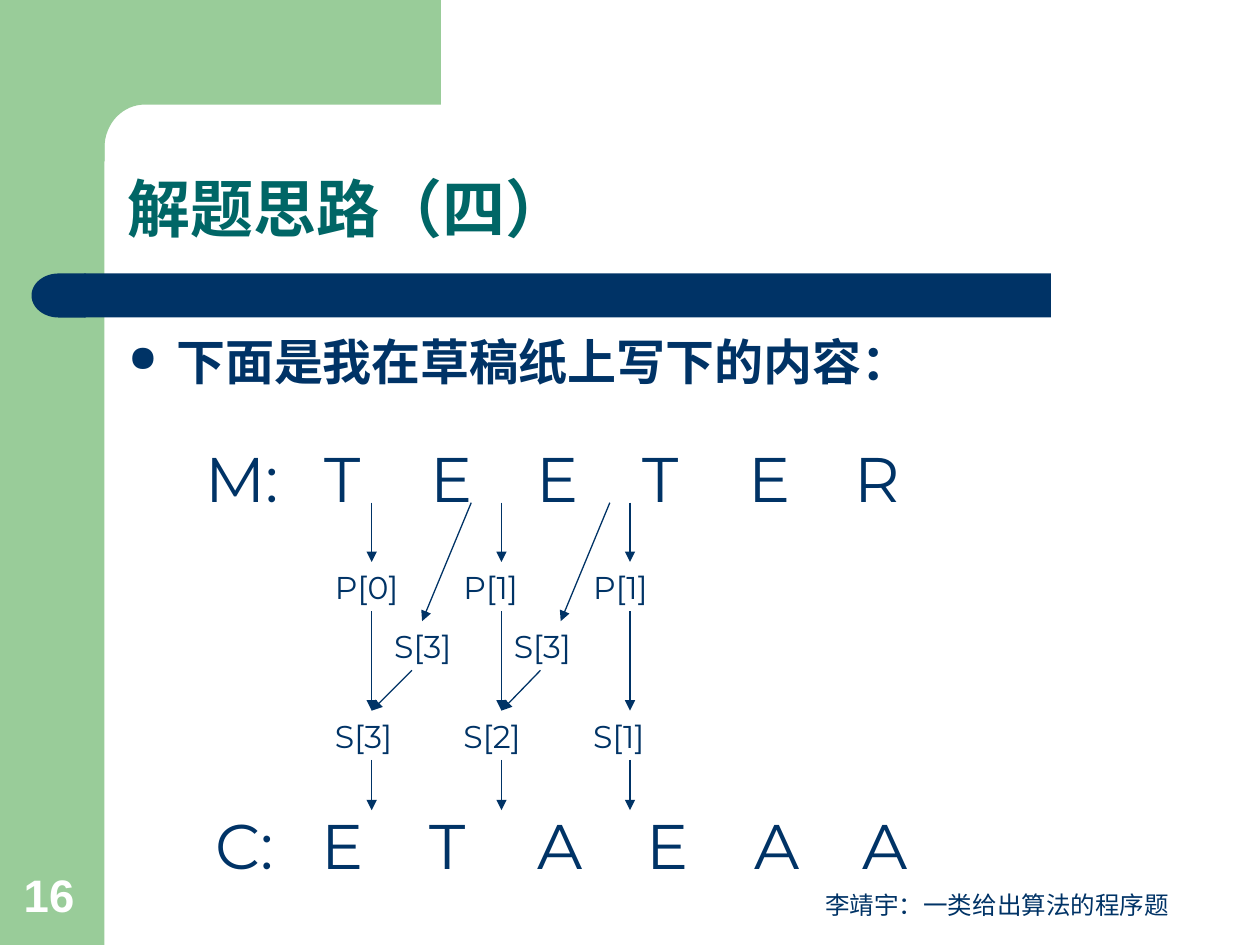
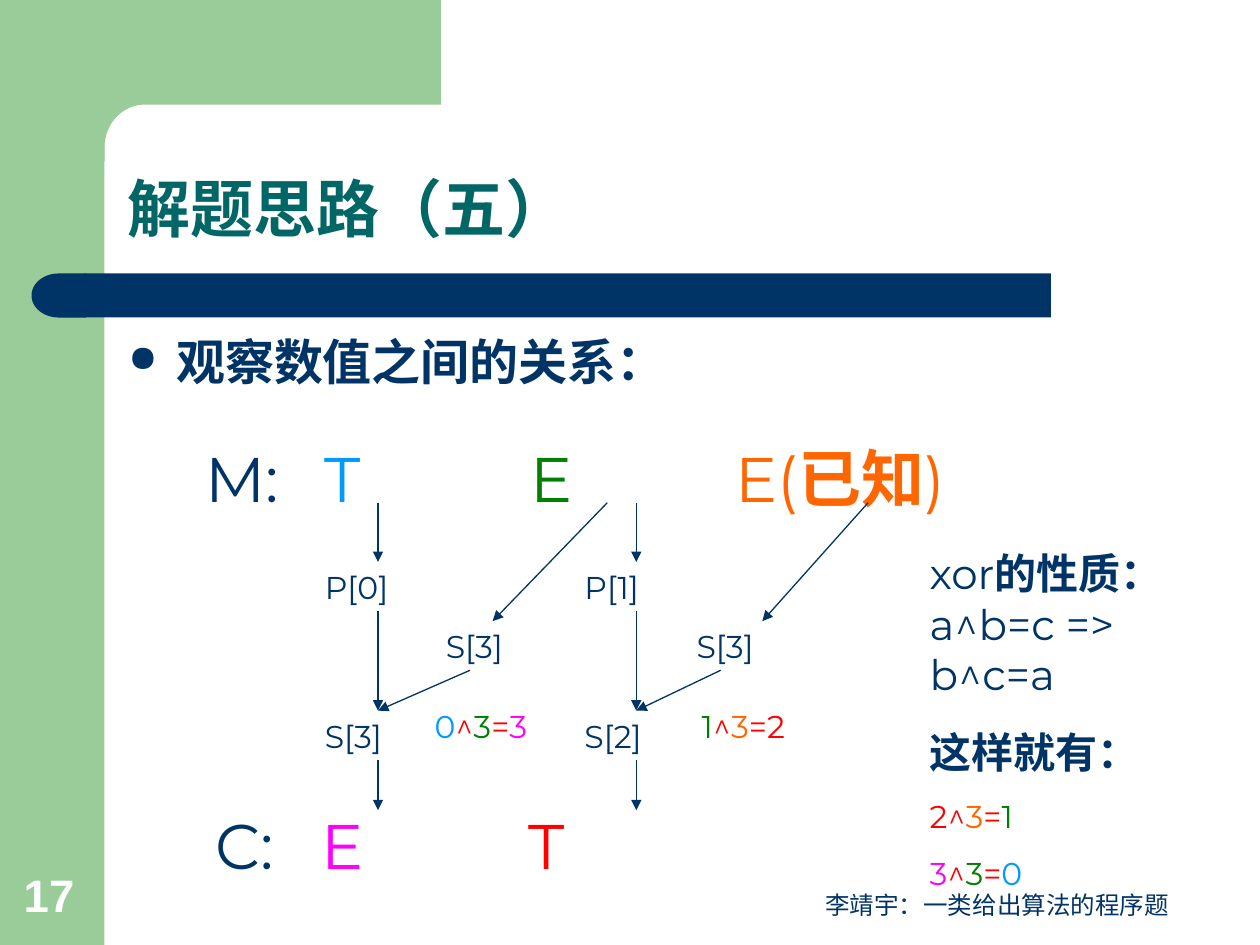
from dataclasses import dataclass
from math import cos, pi, sin

from lxml.etree import SubElement
from pptx import Presentation
from pptx.dml.color import RGBColor as RGB
from pptx.enum.shapes import MSO_CONNECTOR as LINE, MSO_SHAPE as SHAPE
from pptx.enum.text import MSO_ANCHOR as ANCHOR, PP_ALIGN as ALIGN
from pptx.oxml.ns import qn
from pptx.util import Inches, Pt


@dataclass(frozen=True)
class Theme:
    """Colours, fonts and type sizes of the deck."""
    navy: str = "003366"
    teal: str = "006666"
    leaf: str = "99CC99"
    white: str = "FFFFFF"
    sky: str = "0099FF"
    green: str = "008000"
    orange: str = "FF6600"
    pink: str = "FF00FF"
    red: str = "FF0000"
    sans: str = "Arial"
    math: str = "Montserrat"
    big: int = 36
    body: int = 28
    page: int = 26
    note: int = 24
    label: int = 18
    foot: int = 14


T = Theme()


def text(slide, box, paras, size=T.label, font=T.math, color=T.navy, bold=False,
         align=ALIGN.LEFT, anchor=ANCHOR.TOP, spacing=None, before=0,
         bullet=False, tabs=()):
    """Add a text box; each paragraph is a list of (text, format) runs."""
    frame = slide.shapes.add_textbox(*[Inches(v) for v in box]).text_frame
    frame.word_wrap = True
    frame.vertical_anchor = anchor
    if isinstance(paras, str):
        paras = [[(paras, {})]]
    for i, runs in enumerate(paras):
        para = frame.paragraphs[0] if i == 0 else frame.add_paragraph()
        para.alignment = align
        para.line_spacing = spacing
        if i:
            para.space_before = Pt(before)
        props = para._p.get_or_add_pPr()
        if bullet:
            props.set("marL", str(Inches(0.38)))
            props.set("indent", str(Inches(-0.38)))
            SubElement(props, qn("a:buSzPct"), val="75000")
            SubElement(props, qn("a:buChar"), char="●")
        if tabs:
            stops = SubElement(props, qn("a:tabLst"))
            for stop in tabs:
                SubElement(stops, qn("a:tab"), pos=str(Inches(stop)), algn="l")
        for words, form in runs:
            run = para.add_run()
            run.text = words
            run.font.name = font
            run.font.size = Pt(form.get("size", size))
            run.font.bold = form.get("bold", bold)
            run.font.color.rgb = RGB.from_string(form.get("color", color))


def arrow(slide, x1, y1, x2, y2):
    """Draw a thin navy arrow from the first point to the second."""
    ends = [Inches(v) for v in (x1, y1, x2, y2)]
    line = slide.shapes.add_connector(LINE.STRAIGHT, *ends)
    line.line.color.rgb = RGB.from_string(T.navy)
    line.line.width = Pt(0.74)
    SubElement(line.line._get_or_add_ln(), qn("a:tailEnd"), type="triangle")
    SubElement(line._element.spPr, qn("a:effectLst"))


SKY, GREEN, ORANGE, PINK, RED = [
    {"color": c} for c in (T.sky, T.green, T.orange, T.pink, T.red)]

# Each column: stem x, label x, top, low, then side (label x, from x, to x, join x)
pages = [
    dict(title="解题思路（四）", lead="下面是我在草稿纸上写下的内容：",
         plain=[("M:\tT\tE\tE\tT\tE\tR", {})],
         cipher=[("C:\tE\tT\tA\tE\tA\tA", {})],
         steps=(0.84, 0.86),
         cols=[(2.95, 2.56, "P[0]", "S[3]", (3.03, 3.74, 3.35, 3.27)),
               (3.98, 3.58, "P[1]", "S[2]", (3.98, 4.84, 4.45, 4.29)),
               (5, 4.61, "P[1]", "S[1]", None)]),
    dict(title="解题思路（五）", lead="观察数值之间的关系：",
         plain=[("M:\t", {}), ("T\t", SKY), ("E\t", GREEN), ("E(", ORANGE),
                ("已知", {**ORANGE, "bold": True}), (")", ORANGE)],
         cipher=[("C:\t", {}), ("E\t", PINK), ("T", RED)],
         steps=(1.63, 1.65),
         cols=[(3, 2.48, "P[0]", "S[3]", (3.44, 4.82, 3.91, 3.73)),
               (5.05, 4.54, "P[1]", "S[2]", (5.43, 6.89, 6.05, 5.72))]),
]

deck = Presentation()
deck.slide_width, deck.slide_height = Inches(10), Inches(7.5)

for number, page in enumerate(pages, 16):
    slide = deck.slides.add_slide(deck.slide_layouts[6])
    shapes = slide.shapes

    # Green frame with a rounded inner corner, then the navy bar
    arc = [(1.15 - 0.32 * sin(a), 1.17 - 0.34 * cos(a))
           for a in (pi / 2 * k / 16 for k in range(17))]
    edge = [(3.5, 0), (3.5, 0.83), *arc, (0.83, 1.28), (0.5, 1.28), (0.5, 0)]
    points = [(Inches(x), Inches(y)) for x, y in edge]
    pen = shapes.build_freeform(*points[0], scale=1.0)
    pen.add_line_segments(points[1:], close=True)
    parts = [(pen.convert_to_shape(), T.leaf)]
    for kind, box, color in (
            (SHAPE.RECTANGLE, (0, 0, 0.83, 7.5), T.leaf),
            (SHAPE.RECTANGLE, (0.67, 2.17, 7.67, 0.35), T.navy),
            (SHAPE.FLOWCHART_DELAY, (0.25, 2.17, 0.43, 0.35), T.navy)):
        parts.append((shapes.add_shape(kind, *[Inches(v) for v in box]), color))
    for part, color in parts:
        part.shadow.inherit = False
        part.fill.solid()
        part.fill.fore_color.rgb = RGB.from_string(color)
        part.line.fill.background()
    parts[-1][0].rotation = 180

    text(slide, (0.91, 0.91, 8.51, 1.09), page["title"], size=T.big, font=T.sans,
         color=T.teal, bold=True, anchor=ANCHOR.BOTTOM, spacing=0.9)
    text(slide, (0.92, 2.58, 8.41, 0.61), page["lead"], size=T.body, font=T.sans,
         bold=True, bullet=True)

    # Letter rows on even tab stops
    for key, box, first, step in (
            ("plain", (1.53, 3.44, 7.56, 0.7), 0.95, page["steps"][0]),
            ("cipher", (1.61, 6.35, 8.07, 0.7), 0.84, page["steps"][1])):
        text(slide, box, [page[key]], size=T.big,
             tabs=[first + step * k for k in range(6)])

    # Columns that lead from plain letters to cipher letters
    for stem, left, top, low, side in page["cols"]:
        text(slide, (left, 4.46, 0.79, 0.4), top)
        text(slide, (left, 5.64, 0.79, 0.4), low)
        for start, end in ((3.99, 4.46), (4.85, 5.64), (6.03, 6.43)):
            arrow(slide, stem, start, stem, end)
        if side:
            at, start, end, join = side
            text(slide, (at, 4.93, 0.79, 0.4), "S[3]")
            arrow(slide, start, 3.99, end, 4.93)
            arrow(slide, join, 5.32, stem, 5.64)

    text(slide, (6.33, 6.83, 3.17, 0.52), "李靖宇：一类给出算法的程序题", size=T.foot,
         font=T.sans, align=ALIGN.CENTER, anchor=ANCHOR.BOTTOM)
    text(slide, (0.09, 6.83, 0.64, 0.53), str(number), size=T.page, font=T.sans,
         color=T.white, bold=True, anchor=ANCHOR.BOTTOM)

# Sums and the xor rule, on the last slide only
text(slide, (3.35, 5.56, 1.18, 0.4),
     [[("0", SKY), ("^", RED), ("3", GREEN), ("=", RED), ("3", PINK)]])
text(slide, (5.47, 5.56, 1.18, 0.4),
     [[("1", GREEN), ("^", RED), ("3", ORANGE), ("=2", RED)]])
text(slide, (7.28, 4.3, 2.28, 1.3),
     [[("xor", {}), ("的性质：", {"bold": True}), ("a^b=c => b^c=a", {})]],
     size=T.note)
text(slide, (7.28, 5.72, 2.28, 1.42),
     [[("这样就有：", {"size": T.note, "bold": True})],
      [("2^", RED), ("3", ORANGE), ("=", RED), ("1", GREEN)],
      [("3", PINK), ("^", RED), ("3", GREEN), ("=", RED), ("0", SKY)]],
     before=11.2)

deck.save("out.pptx")
